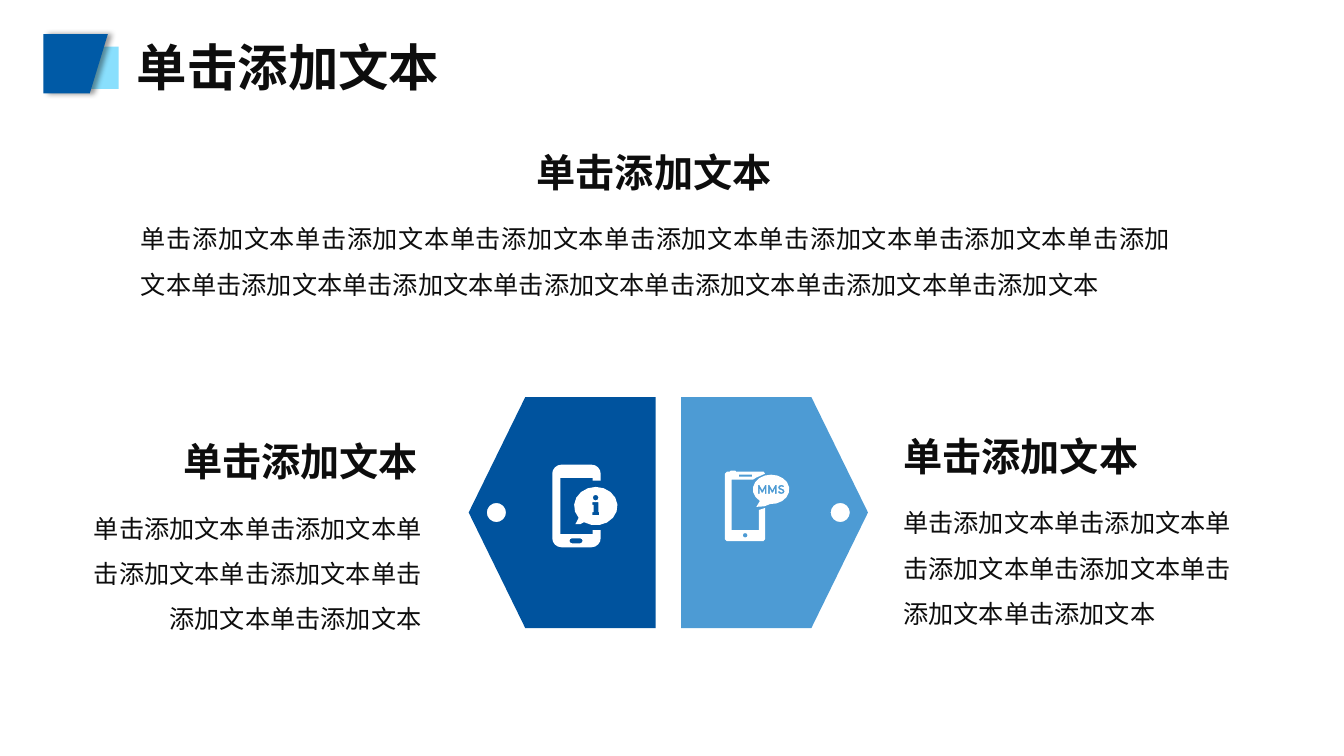
from dataclasses import dataclass
from math import cos, radians, sin

from lxml import etree
from pptx import Presentation
from pptx.dml.color import RGBColor
from pptx.enum.shapes import MSO_SHAPE
from pptx.enum.text import MSO_AUTO_SIZE, PP_ALIGN
from pptx.oxml.ns import qn
from pptx.util import Pt

RECT = MSO_SHAPE.RECTANGLE
LEFT, RIGHT, JUSTIFY = PP_ALIGN.LEFT, PP_ALIGN.RIGHT, PP_ALIGN.JUSTIFY
FONT, INK, WHITE = "Noto Sans CJK SC", "0D0D0D", "FFFFFF"
NAVY, SKY = "00539E", "4D9BD4"
PHRASE = "单击添加文本"
CENTER_X, CARD_TOP, CARD_MID, CARD_BOTTOM = 477.4, 283.7, 366.1, 448.6

Contour = list[tuple[float, float]]


@dataclass
class Block:
    x: float
    y: float
    w: float
    h: float
    size: int
    repeats: int = 1
    bold: bool = False
    align: PP_ALIGN = LEFT
    spacing: float = 1.0
    wrap: bool = True


def arc(cx: float, cy: float, rx: float, ry: float,
        start: float = 0, end: float = 360, steps: int = 16) -> Contour:
    """Points along an ellipse, with angles in degrees, clockwise from the right."""
    angles = [radians(start + (end - start) * i / steps) for i in range(steps + 1)]
    return [(cx + rx * cos(a), cy + ry * sin(a)) for a in angles]


def rect(x: float, y: float, w: float, h: float) -> Contour:
    return [(x, y), (x + w, y), (x + w, y + h), (x, y + h)]


def moved(points: Contour, dx: float, dy: float) -> Contour:
    return [(x + dx, y + dy) for x, y in points]


def paint(sp, color: str) -> None:
    sp.shadow.inherit = False
    sp.fill.solid()
    sp.fill.fore_color.rgb = RGBColor.from_string(color)
    sp.line.fill.background()


def add_outline(s, contours: list[Contour], color: str):
    """Draw one shape; a contour that lies inside another cuts a hole."""
    outlines = [[(Pt(x), Pt(y)) for x, y in contour] for contour in contours]
    builder = s.shapes.build_freeform(*outlines[0][0])
    builder.add_line_segments(outlines[0][1:], close=True)
    for outline in outlines[1:]:
        builder.move_to(*outline[0])
        builder.add_line_segments(outline[1:], close=True)
    sp = builder.convert_to_shape()
    paint(sp, color)
    return sp


def add_soft_shadow(sp) -> None:
    effects = sp._element.spPr.find(qn("a:effectLst"))
    shadow = etree.SubElement(effects, qn("a:outerShdw"), blurRad=str(Pt(4)),
                              dist=str(Pt(3)), dir="0", algn="l", rotWithShape="0")
    black = etree.SubElement(shadow, qn("a:srgbClr"), val="000000")
    etree.SubElement(black, qn("a:alpha"), val="40000")


def add_block(s, block: Block) -> None:
    box = s.shapes.add_textbox(Pt(block.x), Pt(block.y), Pt(block.w), Pt(block.h))
    tf = box.text_frame
    tf.word_wrap = block.wrap
    tf.auto_size = MSO_AUTO_SIZE.SHAPE_TO_FIT_TEXT
    p = tf.paragraphs[0]
    p.text = PHRASE * block.repeats
    p.alignment = block.align
    p.line_spacing = block.spacing
    p.font.size = Pt(block.size)
    p.font.bold = block.bold
    p.font.color.rgb = RGBColor.from_string(INK)
    p.font.name = FONT
    latin = p._p.pPr.find(qn("a:defRPr")).find(qn("a:latin"))
    latin.addnext(etree.Element(qn("a:ea"), typeface=FONT))


def add_card(s, side: int, color: str) -> None:
    """Draw a tag that points left (side -1) or right (side 1)."""
    inner, shoulder, tip, hole = (CENTER_X + side * d for d in (9.1, 102.2, 142.6, 122.8))
    edge = [(inner, CARD_TOP), (shoulder, CARD_TOP), (tip, CARD_MID),
            (shoulder, CARD_BOTTOM), (inner, CARD_BOTTOM)]
    add_outline(s, [edge, arc(hole, CARD_MID, 6.85, 6.85)], color)


INFO_BODY = [
    (429.1, 343.4), (423.4, 343.4), (423.4, 341.3), (400.3, 341.3),
    (400.3, 381.6), (423.4, 381.6), (423.4, 378.7), (429.1, 378.7),
    *arc(422.6, 384.4, 6.5, 6.5, 0, 90, 4), *arc(401, 384.4, 6.5, 6.5, 90, 180, 4),
    *arc(401, 338.4, 6.5, 6.5, 180, 270, 4), *arc(422.6, 338.4, 6.5, 6.5, 270, 360, 4),
]
INFO_SLOT = (arc(408.6, 386.3, 1.8, 1.8, 90, 270, 4)
             + arc(414.4, 386.3, 1.8, 1.8, -90, 90, 4))
INFO_BUBBLE = arc(425.6, 361.5, 15.5, 13.7, 142, 483) + [(414.5, 374.4), (411.1, 374.3)]
INFO_STEM = [(423.2, 358.6), (427.5, 358.6), (427.5, 365.8), (428, 365.8), (428, 367.9),
             (423.2, 367.9), (423.2, 365.8), (424.1, 365.8), (424.1, 360.7),
             (423.2, 360.7)]
INFO_ICON = [INFO_BODY, INFO_SLOT, INFO_BUBBLE, INFO_STEM,
             arc(425.5, 355.5, 2, 2, steps=8)]

MMS_BODY = [
    (546.5, 338.4), (540, 341.3), (537.8, 342.7), (522.6, 342.7), (522.6, 378.7),
    (542.1, 378.7), (542.1, 364.3), (546.5, 362.9), (546.5, 385.2), (545.3, 386.6),
    (519.2, 386.6), (517.8, 385.2), (517.8, 338.4), (519.2, 337), (521.3, 337),
    (522, 336.2), (525.2, 336.2), (525.9, 337), (545.5, 337),
]
MMS_BUBBLE = arc(550.8, 349.6, 13, 10.5, 128, 453) + [(546, 361.7), (540.3, 362.1)]
LETTER_M = [(0, 6.4), (0, 0), (0.9, 0), (3, 3.7), (5.1, 0), (6, 0), (6, 6.4),
            (4.8, 6.4), (4.8, 2.8), (3.4, 5.6), (2.6, 5.6), (1.2, 2.8), (1.2, 6.4)]
LETTER_S = [(4.6, 0.7), (4, 1.7), (2.6, 1.1), (1.5, 1.7), (2.2, 2.4), (4.2, 3.2),
            (4.9, 4.6), (4.2, 6), (2.5, 6.5), (0.8, 6), (0, 5), (0.9, 4.3),
            (2.6, 5.4), (3.6, 4.8), (3, 4), (0.9, 3.2), (0.2, 1.9), (0.9, 0.5), (2.6, 0)]
MMS_LETTERS = [(541.5, LETTER_M), (548.7, LETTER_M), (555.6, LETTER_S)]
MMS_ICON = [MMS_BODY, rect(527.8, 339.1, 9.4, 1.4), arc(532.3, 382.4, 1.7, 1.6, steps=8),
            MMS_BUBBLE, *(moved(letter, x, 346.4) for x, letter in MMS_LETTERS)]

BLOCKS = [
    Block(93.6, 145.4, 749.9, 69.1, 18, 13, align=JUSTIFY, spacing=1.5),
    Block(376.3, 102.2, 184.3, 41, 28, bold=True, wrap=False),
    Block(46.8, 352.1, 261.4, 101.5, 18, 6, align=RIGHT, spacing=1.5),
    Block(123.8, 308.9, 184.3, 41, 28, bold=True),
    Block(638.2, 348.3, 261.4, 101.5, 18, 6, spacing=1.5),
    Block(638.2, 305.3, 184.3, 41, 28, bold=True),
    Block(90.7, 22.3, 232.6, 51.1, 36, bold=True, wrap=False),
]


def main() -> None:
    prs = Presentation()
    prs.slide_width, prs.slide_height = Pt(960), Pt(540)
    s = prs.slides.add_slide(prs.slide_layouts[6])

    paint(s.shapes.add_shape(RECT, Pt(49.7), Pt(33.4), Pt(35), Pt(30.2)), "89DFFD")
    badge = [(31, 24.4), (77, 24.4), (64.1, 66.8), (31, 66.8)]
    add_soft_shadow(add_outline(s, [badge], "005AA6"))

    add_card(s, 1, SKY)
    add_card(s, -1, NAVY)
    add_outline(s, MMS_ICON, WHITE)
    add_outline(s, INFO_ICON, WHITE)

    for block in BLOCKS:
        add_block(s, block)
    prs.save("out.pptx")


if __name__ == "__main__":
    main()
